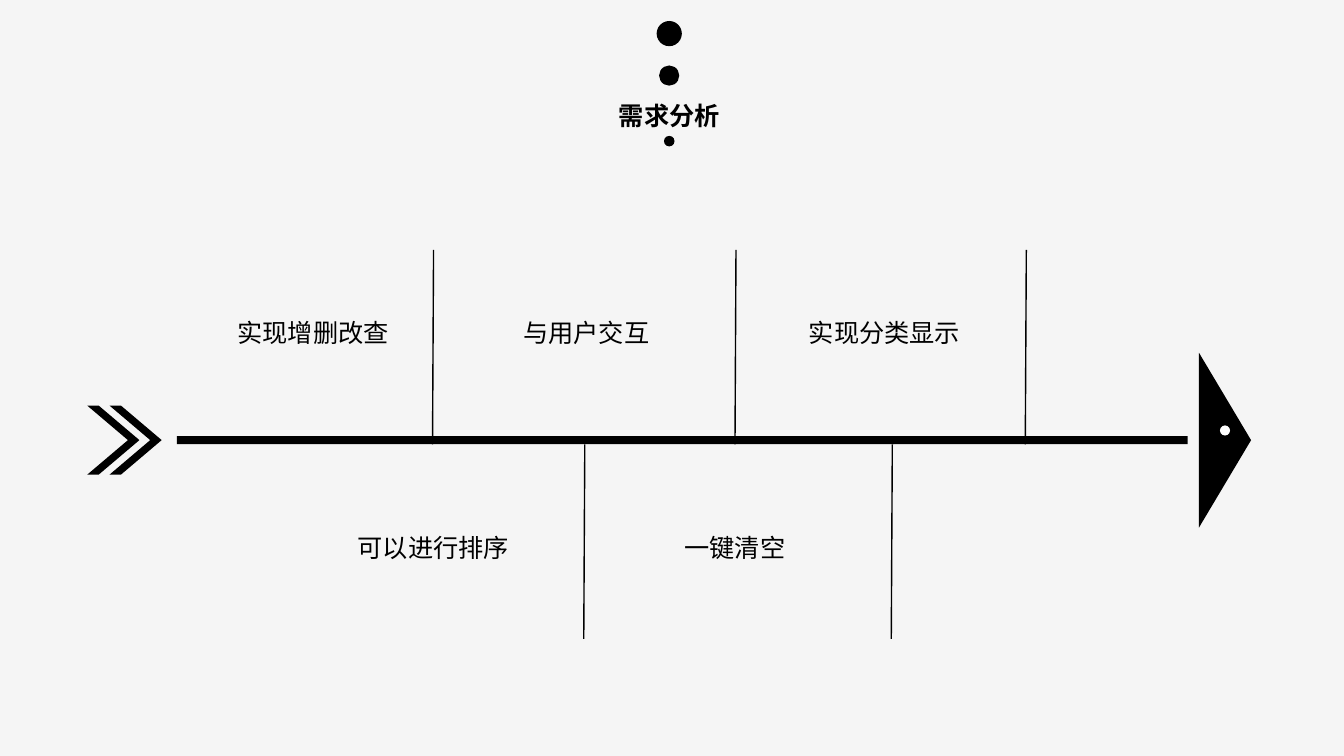
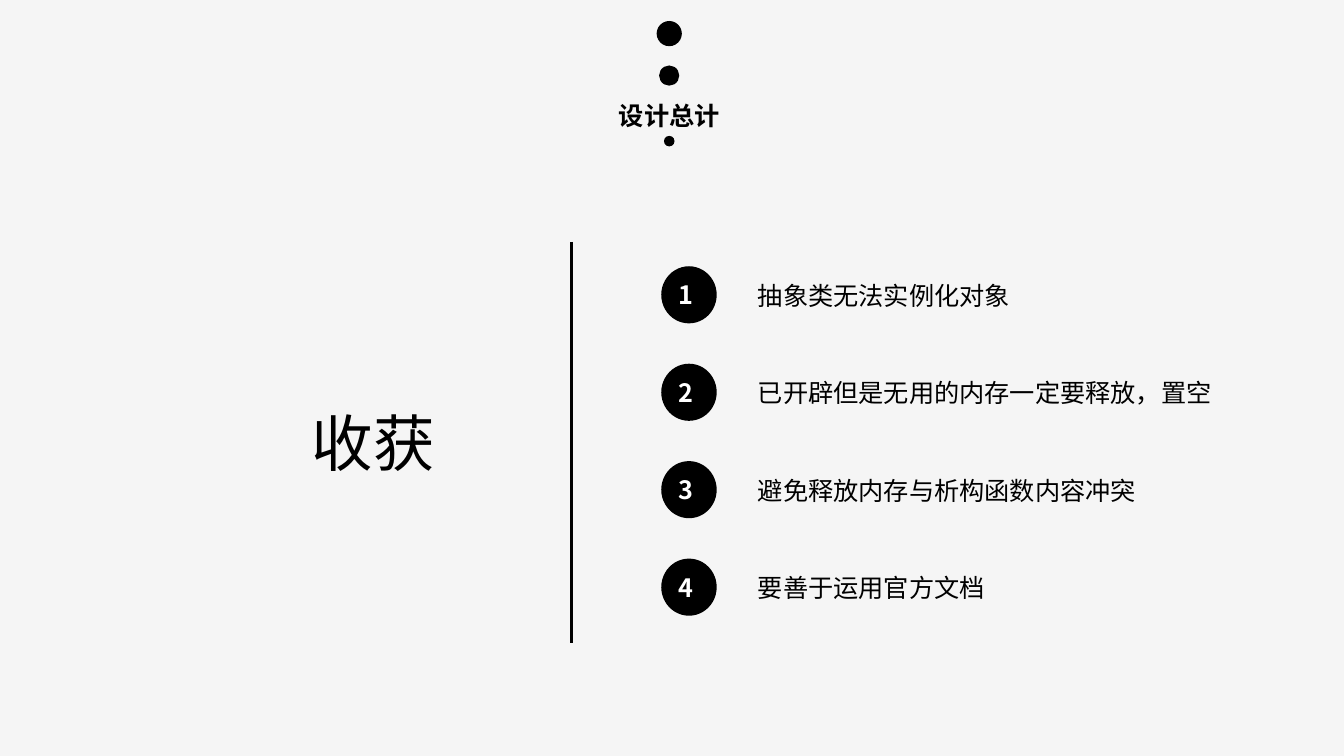
from lxml.etree import SubElement
from pptx import Presentation
from pptx.dml.color import RGBColor
from pptx.enum.shapes import MSO_CONNECTOR, MSO_SHAPE
from pptx.enum.text import MSO_ANCHOR, MSO_AUTO_SIZE, PP_ALIGN
from pptx.oxml.ns import qn
from pptx.util import Inches, Pt

COLORS = {"ink": "000000", "paper": "F5F5F5", "white": "FFFFFF"}
HAN, LATIN = "Noto Sans CJK SC", "Calibri"

# Grid of 160 columns and 90 rows; each cell is 6 pt square
CELL = 6
MID = 79.65  # column on which the header is centred


def grid(*cells):
    return [Pt(cell * CELL) for cell in cells]


def color(name):
    return RGBColor.from_string(COLORS[name])


def write(frame, text, size=18, face=LATIN, ink="ink", bold=False,
          align=PP_ALIGN.LEFT, anchor=MSO_ANCHOR.TOP, wrap=True,
          lead=None, after=0):
    """Fill a text frame, one paragraph for each line of text."""
    frame.text = text
    frame.auto_size = MSO_AUTO_SIZE.NONE
    frame.word_wrap = wrap
    frame.vertical_anchor = anchor
    for para in frame.paragraphs:
        para.alignment = align
        para.space_before, para.space_after = Pt(0), Pt(after)
        if lead:
            para.line_spacing = Pt(lead)
        for run in para.runs:
            font = run.font
            font.name, font.size, font.bold = face, Pt(size), bold
            font.color.rgb = color(ink)
            SubElement(run._r.get_or_add_rPr(), qn("a:ea"), typeface=HAN)


class Deck:
    """Shared style and the slide being drawn."""

    def __init__(self):
        self.prs = Presentation()
        self.prs.slide_width = Inches(13.33)
        self.prs.slide_height = Inches(7.5)
        fill = self.prs.slide_master.background.fill
        fill.solid()
        fill.fore_color.rgb = color("paper")
        self.page = None

    def start(self, title, layout, face=HAN):
        """Add a slide with its title among three dots."""
        self.page = self.prs.slides.add_slide(self.prs.slide_layouts[layout])
        self.place(self.page.shapes.title, MID - 9, 11.3, 18, 4.8)
        write(self.page.shapes.title.text_frame, title, face=face, bold=True,
              align=PP_ALIGN.CENTER)
        for row, size in ((4, 3), (9, 2.4), (16.8, 1.25)):
            self.shape(MSO_SHAPE.OVAL, MID, row, size, size)

    def place(self, item, x, y, w, h):
        item.left, item.top, item.width, item.height = grid(x, y, w, h)

    def shape(self, kind, x, y, w, h, fill="ink"):
        """Draw a plain shape centred on x, y."""
        item = self.page.shapes.add_shape(
            kind, *grid(x - w / 2, y - h / 2, w, h))
        item.shadow.inherit = False
        item.fill.solid()
        item.fill.fore_color.rgb = color(fill)
        item.line.fill.background()
        return item

    def line(self, x, top, end, foot, width=1):
        item = self.page.shapes.add_connector(
            MSO_CONNECTOR.STRAIGHT, *grid(x, top, end, foot))
        item.line.color.rgb = color("ink")
        item.line.width = Pt(width)
        SubElement(item._element.spPr, qn("a:effectLst"))

    def label(self, text, x, y, w, h=4.8, **style):
        box = self.page.shapes.add_textbox(*grid(x, y, w, h))
        write(box.text_frame, text, **style)

    def items(self, lines, x, y, w, step):
        """Put lines without bullets in the body, one every step rows."""
        body, lead = self.page.placeholders[1], 21.6
        self.place(body, x, y, w, step * len(lines))
        write(body.text_frame, "\n".join(lines), lead=lead,
              after=step * CELL - lead)
        for para in body.text_frame.paragraphs:
            props = para._p.get_or_add_pPr()
            props.set("marL", "0")
            props.set("indent", "0")
            SubElement(props, qn("a:buNone"))


def needs(deck):
    deck.start("需求分析", 5)
    axis = 52.4

    # Spine, tail, head and eye of the fish
    deck.shape(MSO_SHAPE.RECTANGLE, 81.2, axis, 120.3, 0.96)
    for x in (13.5, 16.15):
        tail = deck.shape(MSO_SHAPE.CHEVRON, x, axis, 6.2, 8.2)
        tail.adjustments[0] = 0.78
    head = deck.shape(MSO_SHAPE.ISOSCELES_TRIANGLE, 145.8, axis, 20.8, 6.2)
    head.rotation = 90
    deck.shape(MSO_SHAPE.OVAL, 145.8, 51.25, 1.2, 1.2, fill="white")

    # Bones: text, its column, column of the line
    upper = (("实现增删改查", 27.1, 51.6), ("与用户交互", 61.1, 87.6),
             ("实现分类显示", 95.1, 122.15))
    lower = (("可以进行排序", 41.4, 69.6), ("一键清空", 80.3, 106.2))
    for bones, top, row in ((upper, 29.75, 37.2), (lower, 52.9, 62.8)):
        for text, x, bone in bones:
            deck.label(text, x, row, 3 * len(text) + 2.4, wrap=False)
            deck.line(bone, top, bone - 0.12, top + 23.15)


def gains(deck):
    deck.start("设计总计", 1, face=LATIN)

    # Heading and divider
    deck.label("收获", 35.9, 47.6, 17.3, 10.1, size=44, face=HAN,
               align=PP_ALIGN.JUSTIFY)
    deck.line(68, 28.8, 68, 76.6, width=2.5)

    # Numbered list
    lines = ("抽象类无法实例化对象", "已开辟但是无用的内存一定要释放，置空",
             "避免释放内存与析构函数内容冲突", "要善于运用官方文档")
    step = 11.6
    for i in range(len(lines)):
        disc = deck.shape(MSO_SHAPE.OVAL, 82, 35.1 + i * step, 6.6, 6.8)
        frame = disc.text_frame
        write(frame, str(i + 1), face=HAN, ink="white", bold=True,
              align=PP_ALIGN.CENTER, anchor=MSO_ANCHOR.MIDDLE, wrap=False)
        frame.margin_left, frame.margin_right = grid(0, 0.8)
    deck.items(lines, 89, 32.75, 65, step)


def main():
    deck = Deck()
    needs(deck)
    gains(deck)
    deck.prs.save("out.pptx")


if __name__ == "__main__":
    main()
